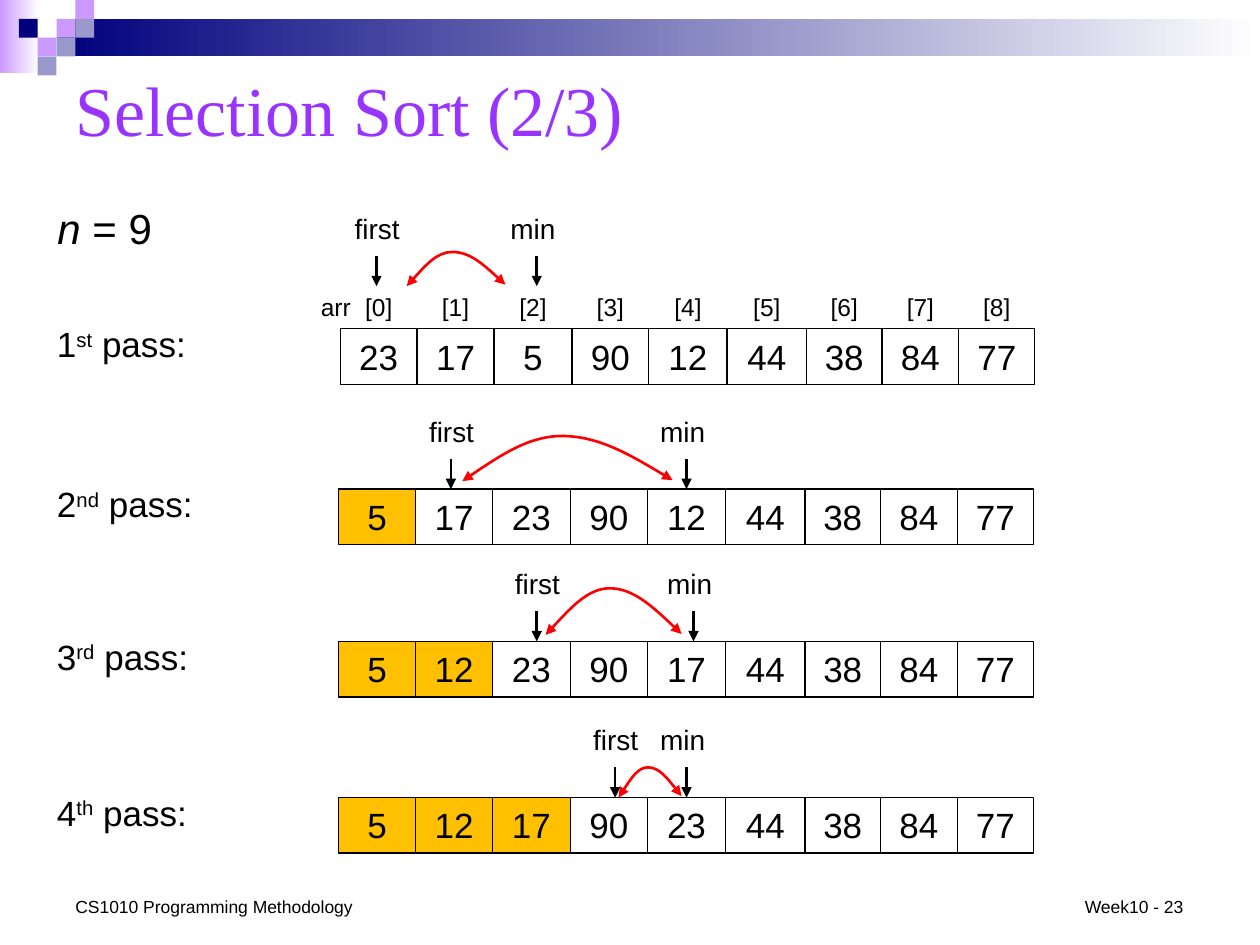
from itertools import pairwise
from typing import NamedTuple

from lxml import etree
from pptx import Presentation
from pptx import util as u
from pptx.dml.color import RGBColor
from pptx.enum import shapes, text
from pptx.oxml.ns import qn

BLACK, RED, SORTED = "000000", "FF0000", "FFC000"
NAVY, LILAC, SLATE, WHITE = "00007D", "CC99FF", "9999CC", "FFFFFF"
# All lengths are in centimetres
CELL_EDGES = [0, 1.55, 3.1, 4.67, 6.22, 7.8, 9.4, 10.92, 12.47, 14]
CELL_HEIGHT = 1.12
ARROW_LENGTH = 0.61
SQUARE = 0.38


class Point(NamedTuple):
    x: float
    y: float


class Pass(NamedTuple):
    number: str
    suffix: str
    left: float
    top: float
    values: list[int]
    sorted_count: int
    arrow_end: float
    first_x: float
    min_x: float
    swap: tuple[Point, Point, Point]  # start, apex, end


PASSES = [
    Pass("1", "st", 6.86, 6.63, [23, 17, 5, 90, 12, 44, 38, 84, 77], 0, 5.77, 7.59, 10.82,
         (Point(8.2, 5.77), Point(9.12, 5.08), Point(10.19, 5.74))),
    Pass("2", "nd", 6.83, 9.86, [5, 17, 23, 90, 12, 44, 38, 84, 77], 1, 9.86, 9.09, 13.84,
         (Point(9.32, 9.7), Point(11.33, 8.79), Point(13.56, 9.68))),
    Pass("3", "rd", 6.83, 12.93, [5, 12, 23, 90, 17, 44, 38, 84, 77], 2, 12.93, 10.82, 13.98,
         (Point(11, 12.8), Point(12.29, 11.86), Point(13.74, 12.78))),
    Pass("4", "th", 6.83, 16.08, [5, 12, 17, 90, 23, 44, 38, 84, 77], 3, 16.08, 12.4, 13.84,
         (Point(12.47, 16.08), Point(13.06, 15.47), Point(13.74, 16.05))),
]


def rgb(value: str) -> RGBColor:
    return RGBColor.from_string(value)


def write(frame, *parts, size=20, color=BLACK, font="Arial", align=text.PP_ALIGN.LEFT,
          wrap=True, anchor=text.MSO_ANCHOR.TOP):
    """Write parts as one paragraph; a part is text or (text, "italic" or "super")."""
    frame.word_wrap = wrap
    frame.vertical_anchor = anchor
    paragraph = frame.paragraphs[0]
    paragraph.alignment = align
    for part in parts:
        words, style = (part, "") if isinstance(part, str) else part
        run = paragraph.add_run()
        run.text = words
        run.font.size, run.font.name = u.Pt(size), font
        run.font.color.rgb = rgb(color)
        if style == "italic":
            run.font.italic = True
        elif style == "super":
            run.font._element.set("baseline", "30000")


def add_label(slide, left: float, top: float, width: float, height: float, *parts, **style):
    box = slide.shapes.add_textbox(u.Cm(left), u.Cm(top), u.Cm(width), u.Cm(height))
    write(box.text_frame, *parts, **style)


def add_box(slide, left: float, top: float, width: float, height: float,
            fill: str | None = None, fade_to: str | None = None, outline: str | None = None):
    box = slide.shapes.add_shape(shapes.MSO_SHAPE.RECTANGLE,
                                 u.Cm(left), u.Cm(top), u.Cm(width), u.Cm(height))
    box.shadow.inherit = False
    if fill is None:
        box.fill.background()
    elif fade_to:
        box.fill.gradient()
        box.fill.gradient_angle = 0
        for stop, color in zip(box.fill.gradient_stops, (fill, fade_to)):
            stop.color.rgb = rgb(color)
    else:
        box.fill.solid()
        box.fill.fore_color.rgb = rgb(fill)
    if outline:
        box.line.color.rgb = rgb(outline)
        box.line.width = u.Pt(0.75)
    else:
        box.line.fill.background()
    return box


def style_arrow(arrow, color: str, *ends: str):
    arrow.line.color.rgb = rgb(color)
    arrow.line.width = u.Pt(1.5)
    line = arrow.line._get_or_add_ln()
    for end in ends:
        etree.SubElement(line, qn(f"a:{end}"), type="triangle")


def add_marker(slide, name: str, x: float, end_y: float, label_shift: float, width: float,
               cells, wrap: bool):
    start_y = end_y - ARROW_LENGTH
    arrow = slide.shapes.add_connector(shapes.MSO_CONNECTOR.STRAIGHT,
                                       u.Cm(x), u.Cm(start_y), u.Cm(x), u.Cm(end_y))
    etree.SubElement(arrow._element.spPr, qn("a:effectLst"))
    style_arrow(arrow, BLACK, "tailEnd")
    # Join the arrow to the cell whose top middle it meets
    for cell in cells:
        gap = abs(cell.left + cell.width / 2 - u.Cm(x))
        if gap < u.Cm(0.03) and abs(cell.top - u.Cm(end_y)) < u.Cm(0.03):
            arrow.end_connect(cell, 0)
    add_label(slide, x - label_shift, start_y - 1.02, width, 0.94, name, size=16, wrap=wrap)


def add_swap_curve(slide, start: Point, apex: Point, end: Point):
    """Draw a two-headed arch whose halves level out at the apex."""
    points = [start]
    for foot_y, a, b in ((start.y, start, apex), (end.y, apex, end)):
        middle_y, third = (foot_y + apex.y) / 2, (b.x - a.x) / 3
        heights = (middle_y, apex.y) if b is apex else (apex.y, middle_y)
        points += [Point(a.x + third, heights[0]), Point(a.x + 2 * third, heights[1]), b]
    points = [(u.Cm(p.x), u.Cm(p.y)) for p in points]
    builder = slide.shapes.build_freeform(*points[0])
    builder.add_line_segments(points[1:], close=False)
    curve = builder.convert_to_shape()
    curve.shadow.inherit = False
    curve.fill.background()
    style_arrow(curve, RED, "headEnd", "tailEnd")
    # Every three line points become the points of one Bézier segment
    outline = curve._element.spPr.find(".//" + qn("a:path"))
    lines = outline.findall(qn("a:lnTo"))
    for first in range(0, len(lines), 3):
        bezier = etree.SubElement(outline, qn("a:cubicBezTo"))
        for line in lines[first:first + 3]:
            bezier.append(line[0])
            outline.remove(line)


def add_pass(slide, step: Pass):
    cells = []
    for i, (value, (left, right)) in enumerate(zip(step.values, pairwise(CELL_EDGES))):
        cell = add_box(slide, step.left + left, step.top, right - left, CELL_HEIGHT,
                       fill=SORTED if i < step.sorted_count else None, outline=BLACK)
        write(cell.text_frame, str(value), align=text.PP_ALIGN.CENTER)
        cells.append(cell)
    add_label(slide, 0.9, step.top - 0.25, 3.53, CELL_HEIGHT,
              step.number, (step.suffix, "super"), " pass:")
    add_marker(slide, "first", step.first_x, step.arrow_end, 0.69, 1.57, cells, wrap=True)
    add_marker(slide, "min", step.min_x, step.arrow_end, 0.78, 1.42, cells, wrap=False)
    add_swap_curve(slide, *step.swap)


def add_banner(slide):
    add_box(slide, 0, 0, 0.79, 1.47, fill=LILAC, fade_to=WHITE)
    add_box(slide, 1.14, 0.38, 24.26, 0.76, fill=NAVY, fade_to=WHITE)
    for column, row, color in ((3, 1, LILAC), (4, 0, LILAC), (4, 1, SLATE), (2, 2, LILAC),
                               (1, 1, NAVY), (3, 2, SLATE), (2, 3, SLATE)):
        add_box(slide, column * SQUARE, row * SQUARE, SQUARE, SQUARE, fill=color)


def main():
    deck = Presentation()
    deck.slide_width, deck.slide_height = u.Cm(25.4), u.Cm(19.05)
    slide = deck.slides.add_slide(deck.slide_layouts[5])
    add_banner(slide)

    # Title
    title = slide.shapes.title
    title.left, title.top, title.width, title.height = map(u.Cm, (1.27, 1.07, 22.86, 2.24))
    write(title.text_frame, "Selection Sort (2/3)", size=40, color="9933FF",
          font="Times New Roman", anchor=text.MSO_ANCHOR.MIDDLE)

    # Array size and index labels
    add_label(slide, 0.91, 3.96, 3.53, 1.27, ("n", "italic"), " = 9", size=24)
    add_label(slide, 5.82, 5.77, 1.9, 0.86, "arr", size=14, align=text.PP_ALIGN.CENTER)
    for i, (left, right) in enumerate(pairwise(CELL_EDGES)):
        add_label(slide, PASSES[0].left + left, 5.77, right - left, 0.86, f"[{i}]",
                  size=14, align=text.PP_ALIGN.CENTER)

    # Sorting passes
    for step in PASSES:
        add_pass(slide, step)

    # Footer
    add_label(slide, 1.27, 17.93, 6.15, 0.69, "CS1010 Programming Methodology", size=10)
    add_label(slide, 21.62, 17.93, 2.57, 0.69, "Week10 - 23", size=10)
    deck.save("out.pptx")


if __name__ == "__main__":
    main()
